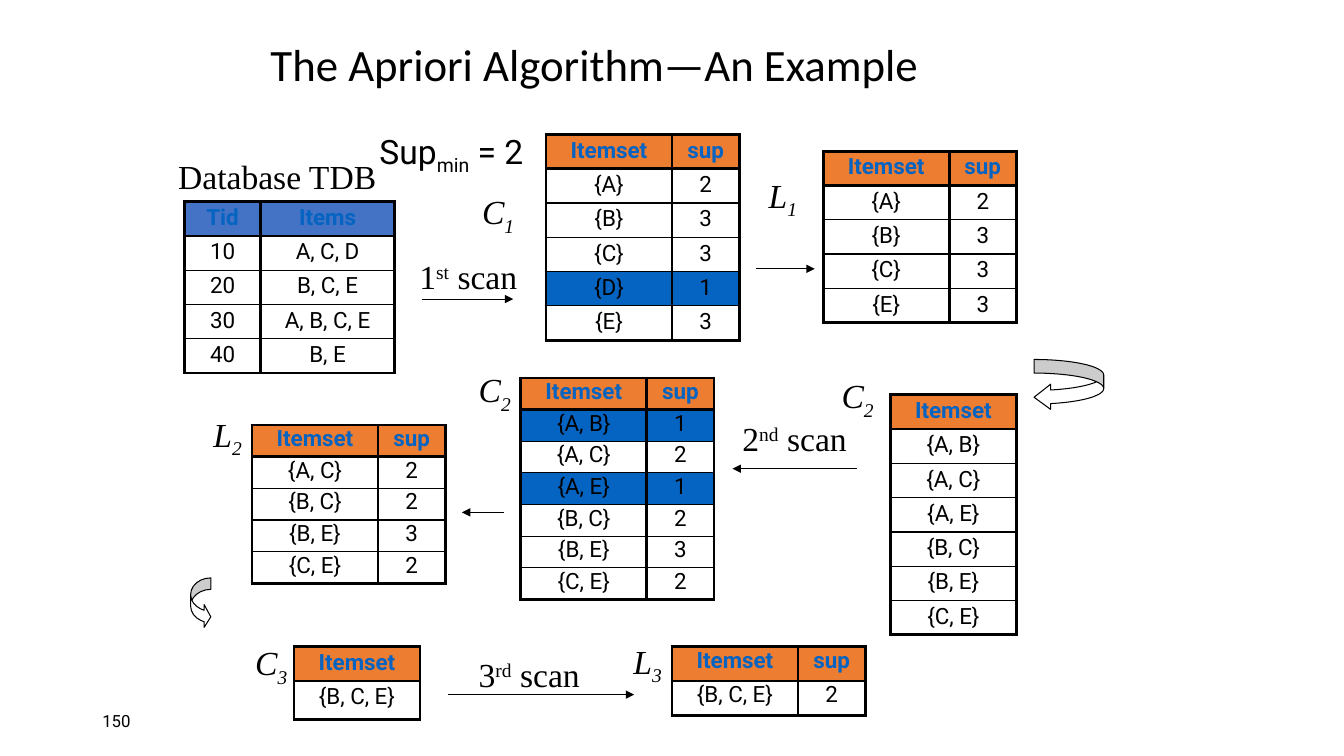
"""Build the Apriori algorithm example slide on a grid of 160 by 90 units."""
from lxml.etree import SubElement
from pptx import Presentation
from pptx.dml.color import RGBColor
from pptx.enum.shapes import MSO_CONNECTOR, MSO_SHAPE
from pptx.enum.text import MSO_ANCHOR, MSO_AUTO_SIZE, PP_ALIGN
from pptx.oxml.ns import qn
from pptx.util import Inches, Pt

COLORS = {"black": "000000", "white": "FFFFFF", "blue": "0563C1",
          "header blue": "4472C4", "orange": "ED7D31"}
TITLE = "The Apriori Algorithm—An Example"
SANS, SERIF = "Roboto", "Times New Roman"
ITEMSET, SUP = ("Itemset", 15), ("sup", 8)
ROW, TIGHT_ROW = 4.08, 3.76

# Each table: left, top, row height, line spacing, header fill, columns, rows
TABLES = [
    (22, 24, ROW, 0.9, "header blue", [("Tid", 9), ("Items", 16)],
     [("10", "A, C, D"), ("20", "B, C, E"), ("30", "A, B, C, E"), ("40", "B, E")]),
    (65, 16, ROW, 0.9, "orange", [ITEMSET, SUP],
     [("{A}", "2"), ("{B}", "3"), ("{C}", "3"), ("{D}", "1"), ("{E}", "3")]),
    (98, 18, ROW, 0.9, "orange", [ITEMSET, SUP],
     [("{A}", "2"), ("{B}", "3"), ("{C}", "3"), ("{E}", "3")]),
    (106, 47, ROW, 0.9, "orange", [ITEMSET],
     [("{A, B}",), ("{A, C}",), ("{A, E}",), ("{B, C}",), ("{B, E}",), ("{C, E}",)]),
    (62, 45, TIGHT_ROW, 0.8, "orange", [ITEMSET, SUP],
     [("{A, B}", "1"), ("{A, C}", "2"), ("{A, E}", "1"),
      ("{B, C}", "2"), ("{B, E}", "3"), ("{C, E}", "2")]),
    (30, 50.6, TIGHT_ROW, 0.8, "orange", [ITEMSET, SUP],
     [("{A, C}", "2"), ("{B, C}", "2"), ("{B, E}", "3"), ("{C, E}", "2")]),
    (35, 77, ROW, 0.9, "orange", [ITEMSET], [("{B, C, E}",)]),
    (80, 77, ROW, 0.8, "orange", [ITEMSET, SUP], [("{B, C, E}", "2")]),
]
SET_LABELS = [("C", "1", 56.2, 22.5), ("L", "1", 90.1, 20.5), ("L", "2", 24, 49),
              ("C", "2", 55.8, 43.7), ("C", "2", 99, 44.4),
              ("C", "3", 29.2, 76.2), ("L", "3", 74, 76)]
SCAN_LABELS = [("1", "st", 48.6, 29.9, 14.3), ("2", "nd", 87, 49.2, 15.2),
               ("3", "rd", 55.6, 77.2, 14.8)]
ARROWS = [(50.2, 61.1, 35.6), (102, 87.2, 55.8), (53.3, 75.5, 82.7),
          (90, 97, 32), (60, 55, 61)]
CURVED_ARROWS = [
    (MSO_SHAPE.CURVED_LEFT_ARROW, (123.1, 42.8, 8.3, 6), (0.27, 0.55, 0.33)),
    (MSO_SHAPE.CURVED_RIGHT_ARROW, (22.7, 68.8, 2.4, 6), (0.57, 1.13, 0.33)),
]


def units(*values):
    return [Inches(value / 12) for value in values]


def color(name):
    return RGBColor.from_string(COLORS[name])


def set_format(target, **values):
    for name, value in values.items():
        setattr(target, name, value)


def set_font(font, color_name="black", **values):
    set_format(font, **values)
    font.color.rgb = color(color_name)


def add_text(slide, box, runs, size=24, name=SERIF, italic=False, wrap=False,
             anchor=MSO_ANCHOR.MIDDLE, align=PP_ALIGN.CENTER,
             auto_size=MSO_AUTO_SIZE.SHAPE_TO_FIT_TEXT):
    frame = slide.shapes.add_textbox(*units(*box)).text_frame
    set_format(frame, word_wrap=wrap, auto_size=auto_size, vertical_anchor=anchor)
    paragraph = frame.paragraphs[0]
    paragraph.alignment = align
    for text, baseline in runs:
        run = paragraph.add_run()
        run.text = text
        set_font(run.font, size=Pt(size), name=name, italic=italic)
        if baseline:
            run._r.get_or_add_rPr().set("baseline", str(baseline * 1000))


def set_borders(cell, row, last_row):
    thick, thin = Pt(2.25), Pt(1)
    widths = {"lnL": thick, "lnR": thick,
              "lnT": thick if row <= 1 else thin,
              "lnB": thick if row in (0, last_row) else thin}
    properties = cell._tc.get_or_add_tcPr()
    for side, width in widths.items():
        line = SubElement(properties, qn(f"a:{side}"), w=str(int(width)))
        fill = SubElement(line, qn("a:solidFill"))
        SubElement(fill, qn("a:srgbClr"), val=COLORS["black"])


def add_itemset_table(slide, left, top, row_height, spacing, header_fill, columns, rows):
    width = sum(column_width for _, column_width in columns)
    lines = [[heading for heading, _ in columns], *rows]
    frame = slide.shapes.add_table(
        len(lines), len(columns), *units(left, top, width, row_height * len(lines)))
    table = frame.table
    set_format(table, first_row=False, horz_banding=False)
    for column, (_, column_width) in zip(table.columns, columns):
        column.width = units(column_width)[0]
    for row, line in enumerate(lines):
        table.rows[row].height = units(row_height)[0]
        fill = header_fill if row == 0 else "blue" if line[-1] == "1" else None
        for column, text in enumerate(line):
            cell = table.cell(row, column)
            set_borders(cell, row, len(rows))
            if fill:
                cell.fill.solid()
                cell.fill.fore_color.rgb = color(fill)
            else:
                cell.fill.background()
            paragraph = cell.text_frame.paragraphs[0]
            set_format(paragraph, alignment=PP_ALIGN.CENTER, line_spacing=spacing)
            run = paragraph.add_run()
            run.text = text
            set_font(run.font, "black" if row else "blue",
                     size=Pt(16), name=SANS, bold=row == 0)
    return table


def add_arrow(slide, start, end, height):
    arrow = slide.shapes.add_connector(
        MSO_CONNECTOR.STRAIGHT, *units(start, height, end, height))
    arrow.line.width = Pt(0.75)
    arrow.line.color.rgb = color("black")
    SubElement(arrow.line._get_or_add_ln(), qn("a:tailEnd"), type="triangle")
    SubElement(arrow._element.spPr, qn("a:effectLst"))


def add_curved_arrow(slide, preset, box, adjustments):
    shape = slide.shapes.add_shape(preset, *units(*box))
    for index, value in enumerate(adjustments):
        shape.adjustments[index] = value
    shape.shadow.inherit = False
    shape.fill.solid()
    shape.fill.fore_color.rgb = color("white")
    shape.line.width = Pt(0.75)
    shape.line.color.rgb = color("black")


def add_title(slide):
    title = slide.shapes.title
    left, top, width, height = units(31, 4, 102.2, 8)
    set_format(title, left=left, top=top, width=width, height=height)
    title.text = TITLE
    set_format(title.text_frame, auto_size=MSO_AUTO_SIZE.NONE,
               vertical_anchor=MSO_ANCHOR.MIDDLE)
    paragraph = title.text_frame.paragraphs[0]
    set_format(paragraph, alignment=PP_ALIGN.LEFT, line_spacing=0.9)
    set_font(paragraph.runs[0].font, size=Pt(32), name="Calibri")


def main():
    presentation = Presentation()
    width, height = units(160, 90)
    set_format(presentation, slide_width=width, slide_height=height)
    slide = presentation.slides.add_slide(presentation.slide_layouts[5])
    add_title(slide)
    add_text(slide, (11, 83.4, 36, 4.8), [("150", 0)], size=12, name=SANS, wrap=True,
             align=PP_ALIGN.LEFT, auto_size=MSO_AUTO_SIZE.NONE)
    add_text(slide, (20, 18, 26, 6), [("Database TDB", 0)])
    for letter, index, left, top in SET_LABELS:
        add_text(slide, (left, top, 6.2, 6), [(letter, 0), (index, -25)], italic=True)
    for number, suffix, left, top, label_width in SCAN_LABELS:
        add_text(slide, (left, top, label_width, 6),
                 [(number, 0), (suffix, 30), (" scan", 0)])
    for arrow in ARROWS:
        add_arrow(slide, *arrow)
    for curved_arrow in CURVED_ARROWS:
        add_curved_arrow(slide, *curved_arrow)
    tables = [add_itemset_table(slide, *table) for table in TABLES]
    tables[6].rows[1].height = units(4.56)[0]
    add_text(slide, (44, 15, 23, 6), [("Sup", 0), ("min", -25), (" = 2", 0)],
             name=SANS, wrap=True, anchor=MSO_ANCHOR.TOP, align=PP_ALIGN.LEFT)
    presentation.save("out.pptx")


if __name__ == "__main__":
    main()
